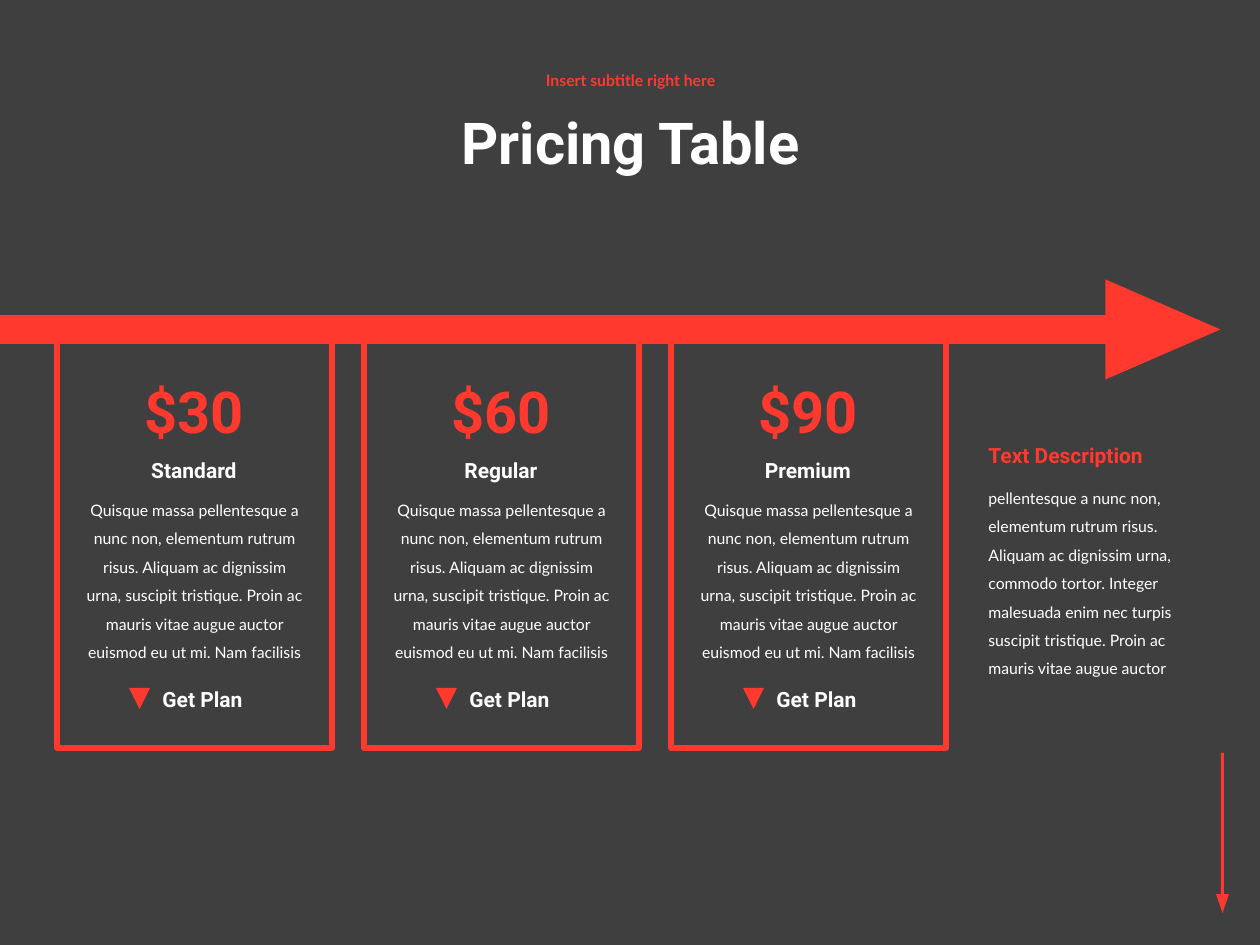
"""Build a pricing table slide with three plans under a wide arrow."""
from pptx import Presentation
from pptx.dml.color import RGBColor
from pptx.enum import shapes, text
from pptx.util import Pt

PX = 914400 // 126
COLORS = {"ground": "3F3F3F", "accent": "FF392E", "white": "FFFFFF"}
RGB = {name: RGBColor.from_string(value) for name, value in COLORS.items()}
RECT = shapes.MSO_SHAPE.RECTANGLE
TRIANGLE = shapes.MSO_SHAPE.ISOSCELES_TRIANGLE
LEFT, CENTER = text.PP_ALIGN.LEFT, text.PP_ALIGN.CENTER
TOP, MIDDLE = text.MSO_ANCHOR.TOP, text.MSO_ANCHOR.MIDDLE

FORMATS = {
    "headline": {"size": Pt(33), "name": "Roboto", "bold": True},
    "label": {"size": Pt(12), "name": "Roboto", "bold": True},
    "subtitle": {"size": Pt(9), "name": "Lato", "bold": True},
    "body": {"size": Pt(9), "name": "Lato", "bold": False},
}

deck = Presentation()
deck.slide_width, deck.slide_height = 1260 * PX, 945 * PX
slide = deck.slides.add_slide(deck.slide_layouts[6])
slide.background.fill.solid()
slide.background.fill.fore_color.rgb = RGB["ground"]


def add_block(kind, box, rotation=0, fill="accent", outline=None):
    block = slide.shapes.add_shape(kind, *(n * PX for n in box))
    block.shadow.inherit = False
    block.rotation = rotation
    block.fill.solid()
    block.fill.fore_color.rgb = RGB[fill]
    if outline:
        block.line.color.rgb = RGB[outline]
        block.line.width = Pt(3)
    else:
        block.line.fill.background()


def add_words(words, box, style, color="white", align=LEFT, spacing=1.0, anchor=TOP):
    frame = slide.shapes.add_textbox(*(n * PX for n in box)).text_frame
    frame.word_wrap = True
    frame.vertical_anchor = anchor
    line = frame.paragraphs[0]
    line.alignment = align
    line.line_spacing = spacing
    run = line.add_run()
    run.text = words
    for key, value in FORMATS[style].items():
        setattr(run.font, key, value)
    run.font.color.rgb = RGB[color]


add_block(RECT, (1221, 753, 3, 141))
add_block(TRIANGLE, (1216, 894, 13, 19), 180)

plans = [("$30", "Standard"), ("$60", "Regular"), ("$90", "Premium")]
card_lefts = [57 + 307 * i for i in range(len(plans))]
for left in card_lefts:
    add_block(RECT, (left, 326, 275, 422), fill="ground", outline="accent")

add_words("Pricing Table", (276, 81, 709, 130), "headline",
          align=CENTER, spacing=0.9, anchor=MIDDLE)
add_words("Insert subtitle right here", (276, 57, 709, 48), "subtitle",
          "accent", CENTER, 0.9, MIDDLE)

add_block(RECT, (-27, 315, 1133, 29))
add_block(TRIANGLE, (1113, 272, 100, 115), 90)

add_words("pellentesque a nunc non, elementum rutrum risus. Aliquam ac dignissim "
          "urna, commodo tortor. Integer malesuada enim nec turpis suscipit "
          "tristique. Proin ac mauris vitae augue auctor",
          (976, 473, 223, 210), "body", spacing=1.5)
add_words("Text Description", (976, 436, 223, 38), "label", "accent")

benefits = ("Quisque massa pellentesque a nunc non, elementum rutrum risus. "
            "Aliquam ac dignissim urna, suscipit tristique. Proin ac mauris "
            "vitae augue auctor euismod eu ut mi. Nam facilisis")
for left, (price, plan) in zip(card_lefts, plans):
    add_words(price, (left + 56, 370, 163, 83), "headline", "accent", CENTER)
    add_words(plan, (left + 48, 451, 178, 38), "label", align=CENTER)
    add_words(benefits, (left + 17, 485, 241, 181), "body", align=CENTER, spacing=1.5)
    add_words("Get Plan", (left + 93, 680, 121, 38), "label")
    add_block(TRIANGLE, (left + 72, 688, 21, 21), 180)

deck.save("out.pptx")
